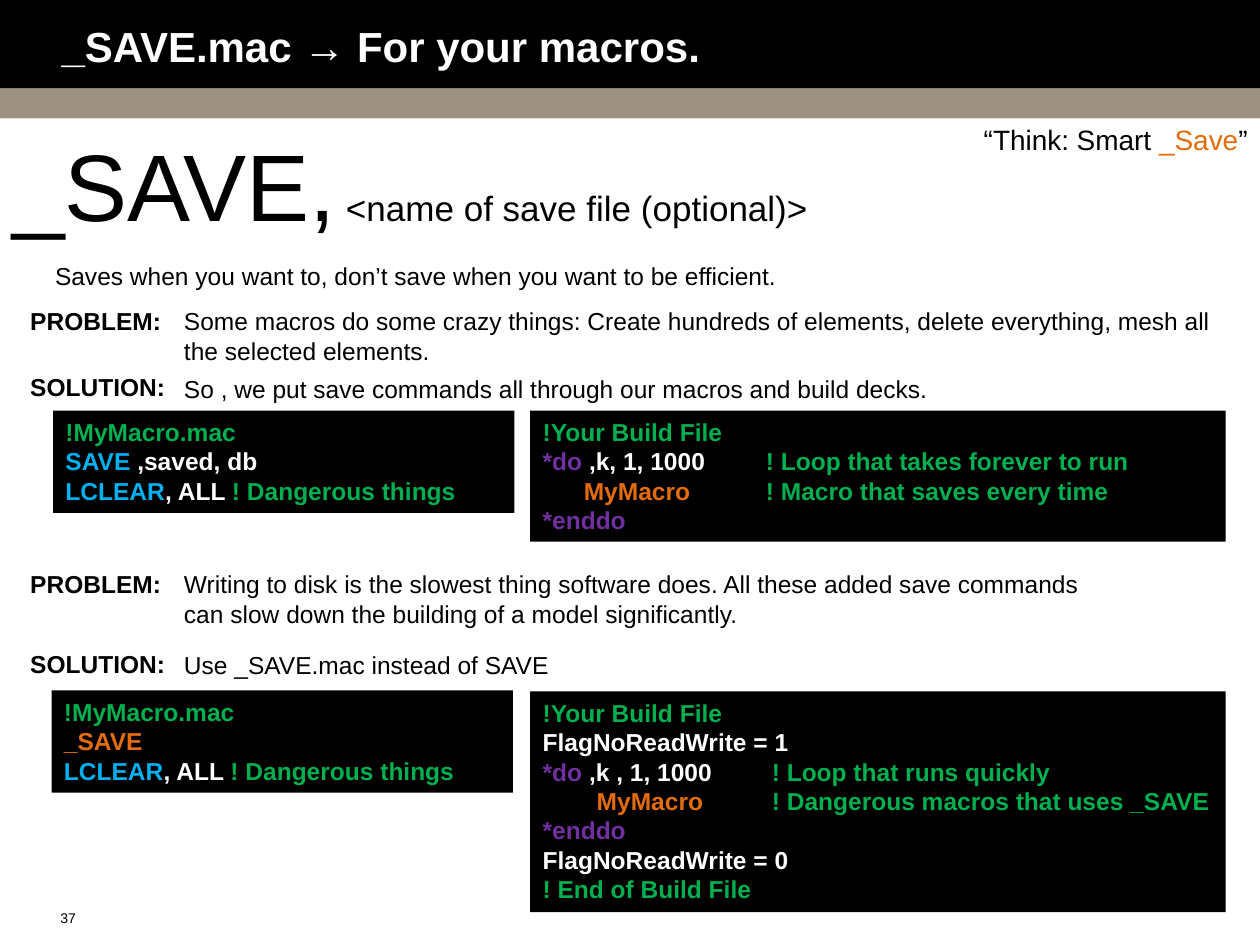
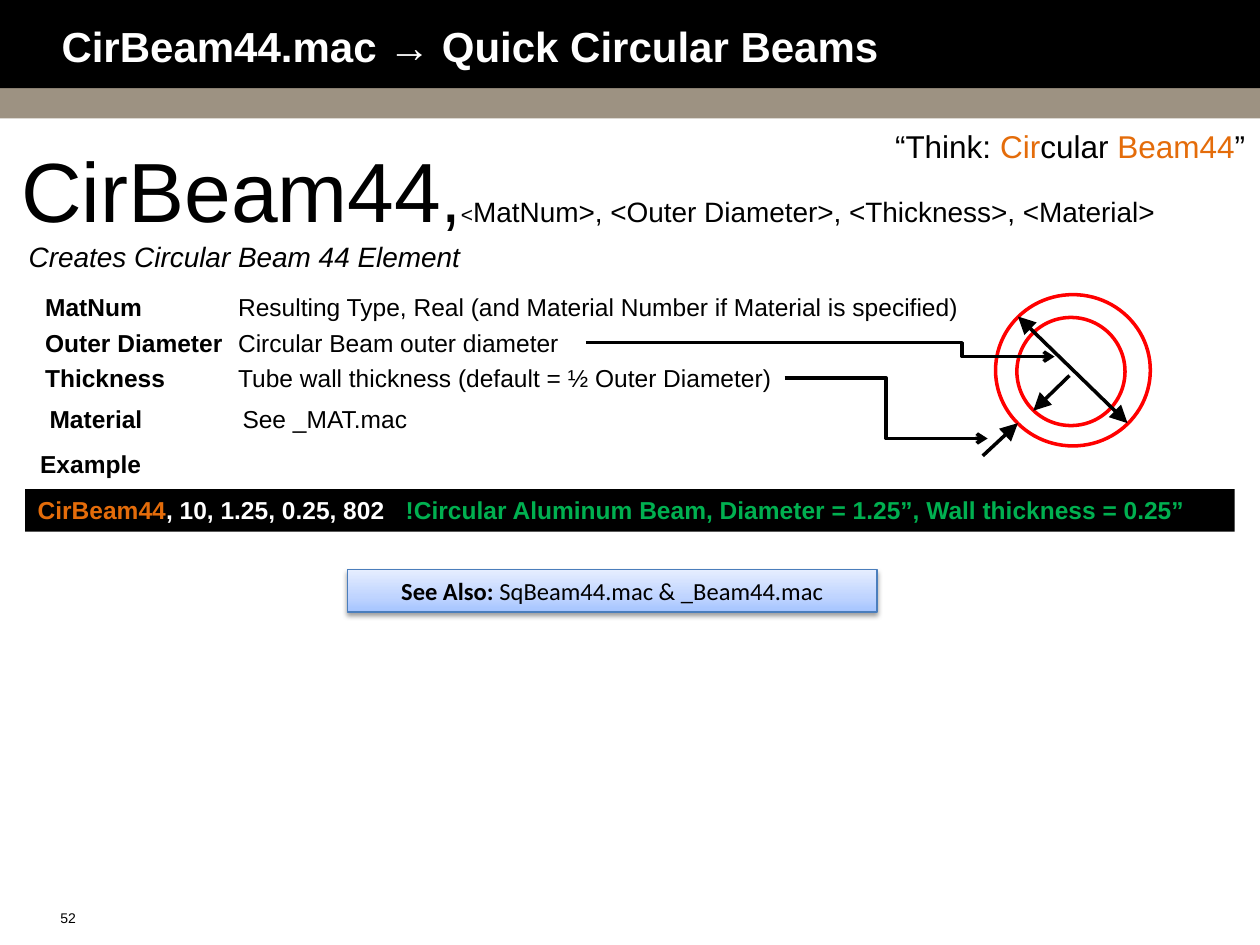
from copy import deepcopy

from lxml import etree
from pptx import Presentation
from pptx.dml.color import RGBColor
from pptx.enum import shapes, text
from pptx.oxml.ns import qn
from pptx.util import Cm, Pt

BLACK, WHITE, TAN, RED = "000000", "FFFFFF", "9D9282", "FF0000"
GREEN, BLUE, PURPLE, ORANGE = "00B050", "00B0F0", "7030A0", "E46C0A"
rgb = RGBColor.from_string


def add_text(slide, place, lines, size=14, bold=False, italic=False, align="LEFT",
             fill=None, tabs=(), font="Arial"):
    """Add a text box, or a filled panel. A line is a list of (text, colour, own size)."""
    place = [Cm(length) for length in place]
    if fill:
        box = slide.shapes.add_shape(shapes.MSO_SHAPE.RECTANGLE, *place)
        box.shadow.inherit = False
        box.fill.solid()
        box.fill.fore_color.rgb = rgb(fill)
        box.line.fill.background()
    else:
        box = slide.shapes.add_textbox(*place)
    frame = box.text_frame
    frame.word_wrap = True
    frame.vertical_anchor = text.MSO_ANCHOR.TOP
    for number, line in enumerate(lines):
        paragraph = frame.add_paragraph() if number else frame.paragraphs[0]
        paragraph.alignment = text.PP_ALIGN[align]
        if tabs:
            stops = etree.SubElement(paragraph._p.get_or_add_pPr(), qn("a:tabLst"))
            for stop in tabs:
                etree.SubElement(stops, qn("a:tab"), pos=str(Cm(stop)), algn="l")
        for words, colour, *own_size in line:
            run = paragraph.add_run()
            run.text = words
            run.font.name, run.font.size = font, Pt(own_size[0] if own_size else size)
            run.font.bold, run.font.italic = bold, italic
            run.font.color.rgb = rgb(colour)
    return box


deck = Presentation()
deck.slide_width, deck.slide_height = Cm(25.4), Cm(19.05)
layout = deck.slide_layouts[5]

# Shared frame: titles, page numbers, and the two bands kept on the layout
pages = []
for heading, page_number in [("_SAVE.mac → For your macros.", "37"),
                             ("CirBeam44.mac → Quick Circular Beams", "52")]:
    slide = deck.slides.add_slide(layout)
    pages.append(slide)
    title = slide.shapes.title
    title.left, title.top, title.width, title.height = Cm(1.24), Cm(0), Cm(22.86), Cm(1.83)
    frame = title.text_frame
    frame.text = heading
    frame.auto_size = text.MSO_AUTO_SIZE.NONE
    frame.vertical_anchor = text.MSO_ANCHOR.MIDDLE
    frame.margin_left = frame.margin_right = 0
    frame.paragraphs[0].alignment = text.PP_ALIGN.LEFT
    font = frame.paragraphs[0].runs[0].font
    font.name, font.size, font.bold = "Arial", Pt(24), True
    font.color.rgb = rgb(WHITE)
    add_text(slide, (0.97, 18.21, 0.86, 0.58), [[(page_number, BLACK)]], size=8)

for top, height, colour in [(0, 1.78, BLACK), (1.78, 0.61, TAN)]:
    band = add_text(pages[0], (0, top, 25.4, height), [], fill=colour)
    layout.shapes.element.insert(2, band._element)

save_page, beam_page = pages

# _SAVE: heading and tagline
add_text(save_page, (0, 2.44, 25.4, 2.57),
         [[("_SAVE,", BLACK, 54), (" <name of save file (optional)>", BLACK, 20)]])
add_text(save_page, (11.73, 2.34, 13.67, 0.94),
         [[("“Think: Smart", BLACK), (" _Save", ORANGE), ("”", BLACK)]], size=16, align="RIGHT")
add_text(save_page, (0.86, 5.13, 23.57, 0.86),
         [[("Saves when you want to, don’t save when you want to be efficient.", BLACK)]])

# _SAVE: problems and solutions
for label, label_top, top, width, explanation in [
    ("PROBLEM:", 6.05, 6.05, 21.23, "Some macros do some crazy things: Create hundreds of "
     "elements, delete everything, mesh all the selected elements."),
    ("SOLUTION:", 7.37, 7.42, 19.58,
     "So , we put save commands all through our macros and build decks."),
    ("PROBLEM:", 11.35, 11.35, 18.59, "Writing to disk is the slowest thing software does. All "
     "these added save commands can slow down the building of a model significantly."),
    ("SOLUTION:", 12.95, 12.98, 18.34, "Use _SAVE.mac instead of SAVE"),
]:
    add_text(save_page, (0.36, label_top, 3.3, 0.86), [[(label, BLACK)]], bold=True)
    add_text(save_page, (3.46, top, width, 0.86), [[(explanation, BLACK)]])

# _SAVE: code panels
macro_name = [("!MyMacro.mac", GREEN)]
clear_line = [("LCLEAR", BLUE), (", ALL ", WHITE), ("! Dangerous things", GREEN)]
build_name = [("!Your Build File", GREEN)]
loop_end = [("*enddo", PURPLE)]
for place, code, tabs in [
    ((1.07, 8.28, 9.3, 2.06),
     [macro_name, [("SAVE", BLUE), (" ,saved, db", WHITE)], clear_line], ()),
    ((1.04, 13.92, 9.3, 2.06), [macro_name, [("_SAVE", ORANGE)], clear_line], ()),
    ((10.69, 8.28, 14.02, 2.64),
     [build_name,
      [("*do ", PURPLE), (",k, 1, 1000\t", WHITE), ("! Loop that takes forever to run", GREEN)],
      [("\tMyMacro\t", ORANGE), ("! Macro that saves every time", GREEN)],
      loop_end], (0.83, 4.5)),
    ((10.69, 13.94, 14.02, 4.45),
     [build_name,
      [("FlagNoReadWrite = 1", WHITE)],
      [("*do ", PURPLE), (",k , 1, 1000\t", WHITE), ("! Loop that runs quickly", GREEN)],
      [("\tMyMacro\t", ORANGE), ("! Dangerous macros that uses _SAVE", GREEN)],
      loop_end,
      [("FlagNoReadWrite = 0", WHITE)],
      [("! End of Build File", GREEN)]], (1.09, 4.62)),
]:
    add_text(save_page, place, code, bold=True, fill=BLACK, tabs=tabs)

# CirBeam44: heading and tagline
add_text(beam_page, (8.46, 2.44, 16.89, 1.02),
         [[("“Think: ", BLACK), ("Cir", ORANGE), ("cular ", BLACK), ("Beam44", ORANGE),
           ("”", BLACK)]], size=18, align="RIGHT")
add_text(beam_page, (0.18, 2.67, 23.65, 2.31),
         [[("CirBeam44", BLACK, 48), (",", BLACK, 40), ("<", BLACK, 12),
           ("MatNum>, <Outer Diameter>, <Thickness>, <Material>", BLACK, 16)]])
add_text(beam_page, (0.33, 4.7, 23.39, 0.94),
         [[("Creates Circular Beam 44 Element", BLACK)]], size=16, italic=True)

# CirBeam44: arguments
for left, top, argument, meaning in [
    (0.66, 5.77, "MatNum", "Resulting Type, Real (and Material Number if Material is specified)"),
    (0.66, 6.48, "Outer Diameter", "Circular Beam outer diameter"),
    (0.66, 7.19, "Thickness", "Tube wall thickness (default = ½ Outer Diameter)"),
    (0.75, 8.03, "Material", "See _MAT.mac"),
]:
    add_text(beam_page, (left, top, 4.29, 0.86), [[(argument, BLACK)]], bold=True)
    add_text(beam_page, (left + 3.89, top, 16, 0.86), [[(meaning, BLACK)]])

# CirBeam44: tube section with its dimension arrows
for place in [(20.5, 6.4, 2.18, 2.18), (20.07, 5.94, 3.12, 3.05)]:
    wall = beam_page.shapes.add_shape(shapes.MSO_SHAPE.OVAL, *[Cm(length) for length in place])
    wall.shadow.inherit = False
    wall.fill.background()
    wall.line.color.rgb, wall.line.width = rgb(RED), Pt(2)

pointed = {"type": "triangle", "w": "lg", "len": "lg"}
opened = {"type": "arrow"}
for ends, bend, heads in [
    ((11.81, 6.91, 21.26, 7.19), 80300, {"tailEnd": opened}),
    ((15.82, 7.62, 19.91, 8.84), 50000, {"tailEnd": opened}),
    ((20.52, 6.38, 22.73, 8.53), None, {"headEnd": pointed, "tailEnd": pointed}),
    ((20.83, 8.28, 21.56, 7.57), None, {"headEnd": pointed}),
    ((20.52, 8.53, 19.81, 9.19), None, {"headEnd": pointed}),
]:
    route = shapes.MSO_CONNECTOR.ELBOW if bend else shapes.MSO_CONNECTOR.STRAIGHT
    arrow = beam_page.shapes.add_connector(route, *[Cm(length) for length in ends])
    arrow.line.color.rgb, arrow.line.width = rgb(BLACK), Pt(2)
    properties = arrow._element.spPr
    for end, head in heads.items():
        etree.SubElement(properties.find(qn("a:ln")), qn("a:" + end), head)
    etree.SubElement(properties, qn("a:effectLst"))
    if bend:
        adjustments = next(properties.iter(qn("a:avLst")))
        etree.SubElement(adjustments, qn("a:gd"), name="adj1", fmla=f"val {bend}")

# CirBeam44: example
add_text(beam_page, (0.56, 8.92, 2.57, 0.86), [[("Example", BLACK)]], bold=True)
add_text(beam_page, (0.51, 9.86, 24.38, 0.86),
         [[("CirBeam44", ORANGE), (", 10, 1.25, 0.25, 802\t", WHITE),
           ("!Circular Aluminum Beam, Diameter = 1.25”, Wall thickness = 0.25”", GREEN)]],
         bold=True, fill=BLACK, tabs=(7.42,))

# CirBeam44: related macros
see_also = add_text(beam_page, (7.01, 11.48, 10.67, 0.86),
                    [[("See Also:", BLACK), (" SqBeam44.mac & _Beam44.mac", BLACK)]],
                    align="CENTER", fill=WHITE, font="Calibri")
see_also.text_frame.paragraphs[0].runs[0].font.bold = True
see_also.line.color.rgb, see_also.line.width = rgb("4B7EBC"), Pt(0.75)
see_also.fill.gradient()
see_also.fill.gradient_angle = 90
first_stop = next(see_also._element.iter(qn("a:gs")))
first_stop.addnext(deepcopy(first_stop))
for stop, position, colour in zip(see_also.fill.gradient_stops, (0, 0.35, 1),
                                  ("A4C4FF", "BFD4FF", "E6EEFF")):
    stop.position, stop.color.rgb = position, rgb(colour)
shadow = etree.SubElement(see_also._element.spPr.find(qn("a:effectLst")), qn("a:outerShdw"),
                          blurRad=str(Pt(3.1)), dist=str(Pt(1.6)), dir="5400000", rotWithShape="0")
shade = etree.SubElement(shadow, qn("a:srgbClr"), val=BLACK)
etree.SubElement(shade, qn("a:alpha"), val="38000")

deck.save("out.pptx")
